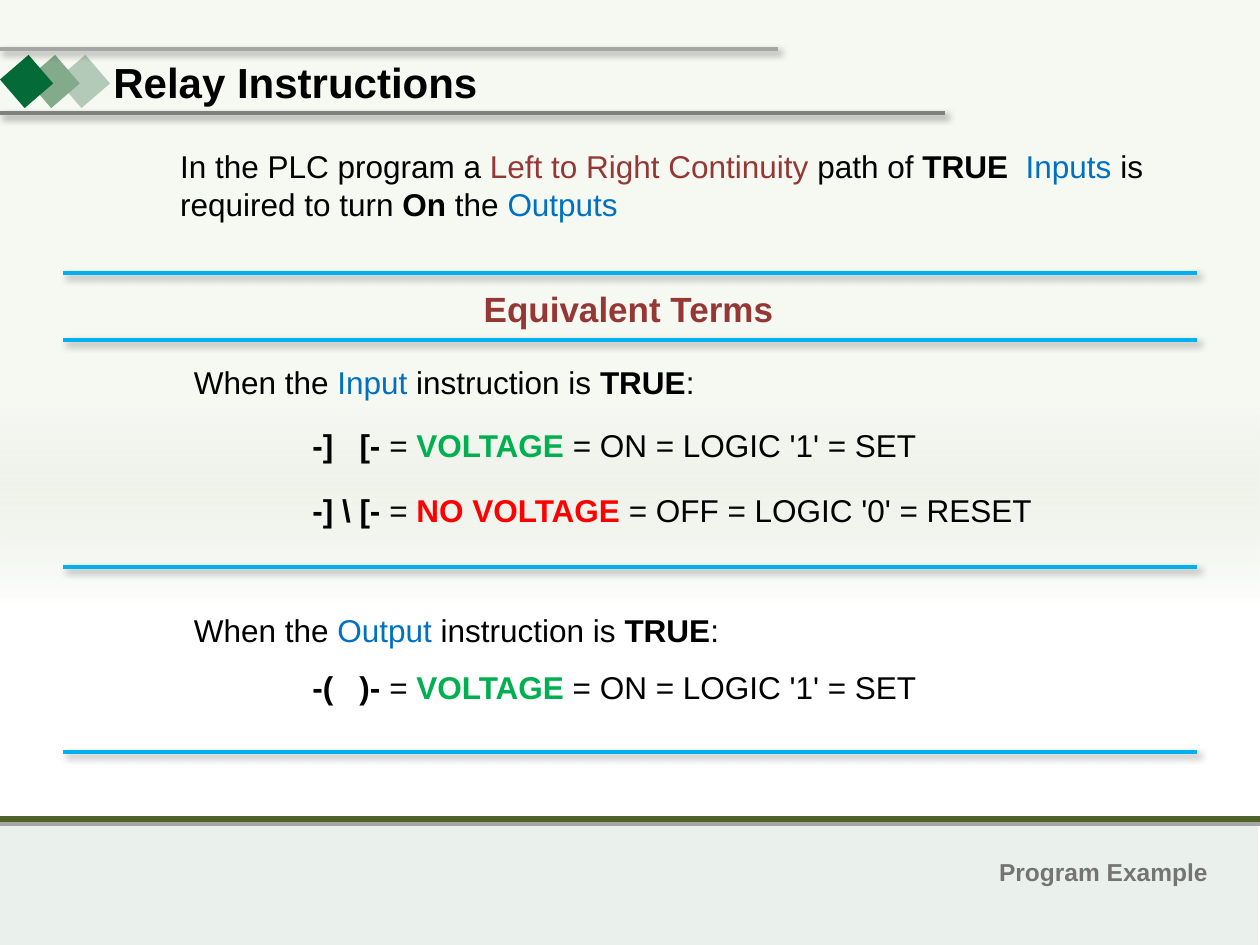
from lxml.etree import SubElement
from pptx import Presentation
from pptx.dml.color import RGBColor
from pptx.enum.shapes import MSO_CONNECTOR, MSO_SHAPE
from pptx.enum.text import MSO_ANCHOR, MSO_AUTO_SIZE, PP_ALIGN
from pptx.oxml import parse_xml
from pptx.oxml.ns import nsdecls, qn
from pptx.util import Pt

BLACK, BLUE, BROWN, GREEN, RED = "000000", "0070C0", "953735", "00B050", "FF0000"


def color(value):
    """Turn a hex string into a colour."""
    return RGBColor.from_string(value)


class SlideBuilder:
    """Hold the style and the current slide, and draw each kind of element."""

    font = "Arial"

    def __init__(self, page):
        """Keep the page to draw on."""
        self.page = page

    def panel(self, left, top, width, height, fill, rotation=0):
        """Draw a plain rectangle without an outline."""
        box = self.page.shapes.add_shape(
            MSO_SHAPE.RECTANGLE, Pt(left), Pt(top), Pt(width), Pt(height))
        box.shadow.inherit = False
        box.fill.solid()
        box.fill.fore_color.rgb = color(fill)
        box.line.fill.background()
        box.rotation = rotation
        return box

    def gradient_panel(self, left, top, width, height, stops):
        """Draw a rectangle that fades from top to bottom."""
        box = self.panel(left, top, width, height, "FFFFFF")
        properties = box._element.spPr
        gradient = parse_xml(
            f'<a:gradFill {nsdecls("a")} rotWithShape="1"><a:gsLst/>'
            '<a:lin ang="5400000" scaled="0"/></a:gradFill>')
        for position, value, opacity in stops:
            stop = SubElement(gradient[0], qn("a:gs"), pos=str(position * 1000))
            tint = SubElement(stop, qn("a:srgbClr"), val=value)
            SubElement(tint, qn("a:alpha"), val=str(opacity * 1000))
        properties.replace(properties.find(qn("a:solidFill")), gradient)

    def rule(self, left, right, top, stroke, weight=2.25, shadow=True):
        """Draw a horizontal line, with or without a soft shadow."""
        line = self.page.shapes.add_connector(
            MSO_CONNECTOR.STRAIGHT, Pt(left), Pt(top), Pt(right), Pt(top))
        line.line.color.rgb = color(stroke)
        line.line.width = Pt(weight)
        effects = SubElement(line._element.spPr, qn("a:effectLst"))
        if shadow:
            outer = SubElement(
                effects, qn("a:outerShdw"), blurRad=str(Pt(4)), dist=str(Pt(3)),
                dir="2700000", algn="tl", rotWithShape="0")
            tint = SubElement(outer, qn("a:srgbClr"), val=BLACK)
            SubElement(tint, qn("a:alpha"), val="40000")

    def fill_text(self, box, spans, size, wrap=False):
        """Fill a box with runs of text, colour and weight."""
        frame = box.text_frame
        frame.word_wrap = wrap
        frame.auto_size = MSO_AUTO_SIZE.SHAPE_TO_FIT_TEXT
        frame.vertical_anchor = MSO_ANCHOR.TOP
        para = frame.paragraphs[0]
        para.alignment = PP_ALIGN.LEFT
        for text, value, bold in spans:
            span = para.add_run()
            span.text = text
            span.font.name = self.font
            span.font.size = Pt(size)
            span.font.bold = bold
            span.font.color.rgb = color(value)

    def text(self, left, top, width, height, spans, size=18, wrap=False):
        """Add a text box."""
        box = self.page.shapes.add_textbox(Pt(left), Pt(top), Pt(width), Pt(height))
        self.fill_text(box, spans, size, wrap)

    def title(self, left, top, width, height, words):
        """Place the title in front of the background."""
        box = self.page.shapes.title
        box.left, box.top, box.width, box.height = Pt(left), Pt(top), Pt(width), Pt(height)
        self.fill_text(box, [(words, BLACK, True)], 24)
        self.page.shapes._spTree.append(box._element)

    def condition(self, top, width, kind):
        """Introduce the terms for one kind of instruction."""
        self.text(103.7, top, width, 29, [
            ("When the ", BLACK, False), (kind, BLUE, False),
            (" instruction is ", BLACK, False), ("TRUE", BLACK, True),
            (":", BLACK, False)])

    def terms(self, top, width, symbol, state, value, meaning):
        """List the equivalent terms of one ladder symbol."""
        self.text(171.4, top, width, 29, [
            (symbol, BLACK, True), ("= ", BLACK, False),
            (state, value, True), (meaning, BLACK, False)])


def main():
    """Build the slide and save it."""
    deck = Presentation()
    deck.slide_width, deck.slide_height = Pt(720), Pt(540)
    page = deck.slides.add_slide(deck.slide_layouts[5])
    builder = SlideBuilder(page)

    builder.panel(-1, 468, 720, 72, "EAF0EB")
    builder.gradient_panel(0, 0, 720, 468, [
        (50, "D1DCC3", 20), (74, "FFFFFF", 100), (100, "FFFFFF", 100)])
    builder.rule(0, 720, 470.7, "A6A6A6", shadow=False)
    builder.rule(0, 720, 468, "4F6228", 3, shadow=False)
    builder.text(563.8, 486, 134.6, 24.2, [("Program Example", "757474", True)], 14)

    for left, fill in ((36.9, "B4CAB8"), (19.6, "84AA8C"), (4.4, "046A38")):
        builder.panel(left, 35.8, 21.6, 21.6, fill, 49.2)
    builder.rule(-1, 540, 64.4, "808080")
    builder.rule(-1, 444.6, 27.9, "A6A6A6")
    builder.title(57.6, 28.8, 224.6, 36.4, "Relay Instructions")

    for top in (156, 194.4, 324, 429.8):
        builder.rule(36, 684, top, "00B0F0")

    builder.text(95.8, 80.6, 570.2, 50.9, [
        ("In the PLC program a ", BLACK, False),
        ("Left to Right Continuity ", BROWN, False),
        ("path of ", BLACK, False), ("TRUE  ", BLACK, True),
        ("Inputs ", BLUE, False), ("is required to turn ", BLACK, False),
        ("On", BLACK, True), (" the ", BLACK, False),
        ("Outputs", BLUE, False)], wrap=True)
    builder.text(269.3, 160.6, 181.4, 31.5, [("Equivalent Terms", BROWN, True)], 20)

    builder.condition(203.8, 303.1, "Input")
    builder.terms(239.8, 365.8, "-]   [- ", "VOLTAGE", GREEN, " = ON = LOGIC '1' = SET")
    builder.terms(277.2, 432.7, "-] \\ [- ", "NO VOLTAGE ", RED, "= OFF = LOGIC '0' = RESET")
    builder.condition(345.6, 317.5, "Output")
    builder.terms(378, 362.9, "-(   )- ", "VOLTAGE", GREEN, " = ON = LOGIC '1' = SET")

    deck.save("out.pptx")


if __name__ == "__main__":
    main()
